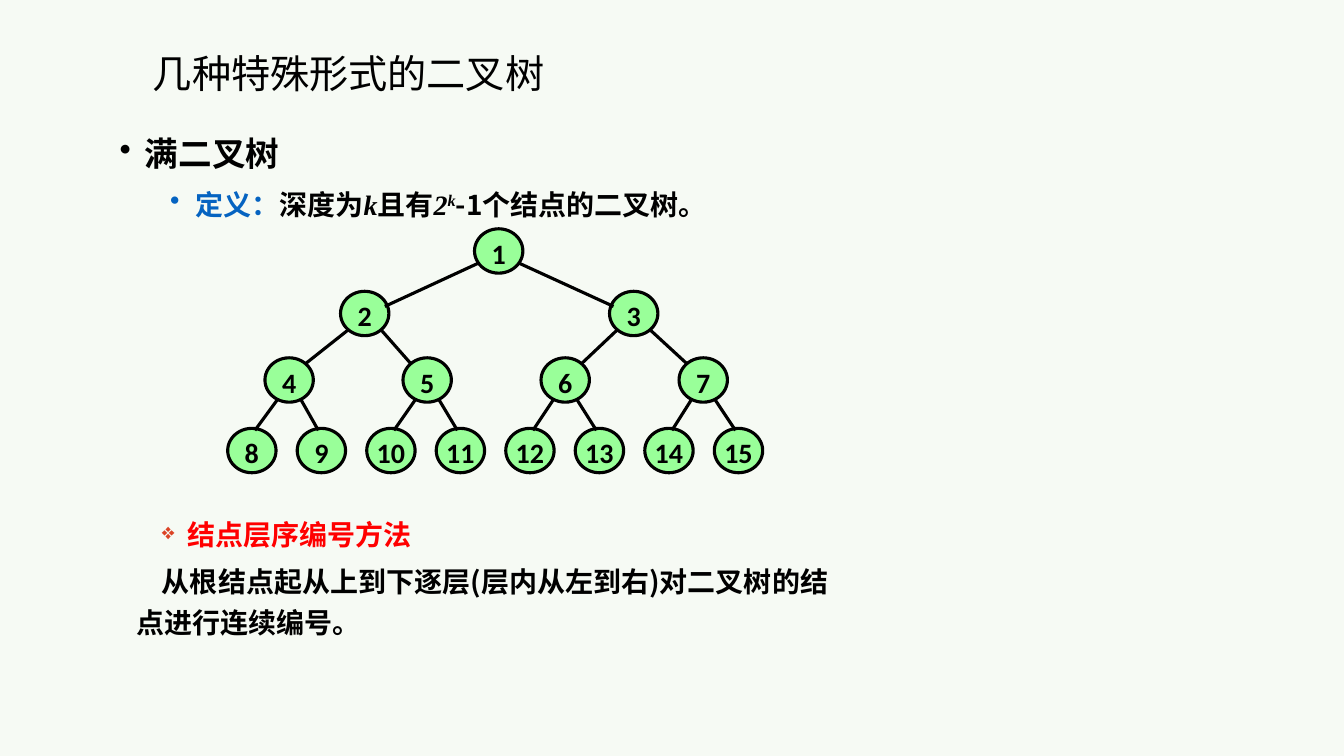
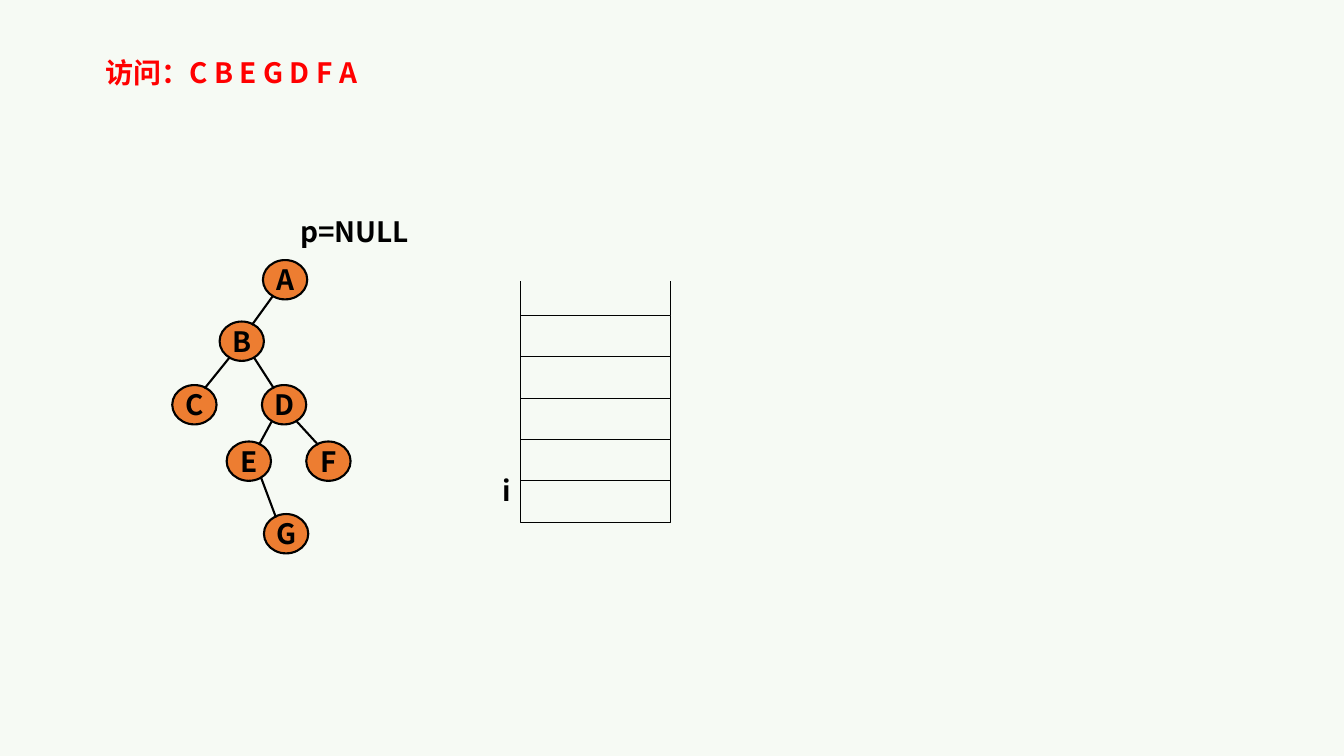
from dataclasses import dataclass

from lxml import etree
from pptx import Presentation
from pptx import util as u
from pptx.dml.color import RGBColor
from pptx.enum import shapes, text
from pptx.oxml import ns


@dataclass(frozen=True)
class Theme:
    page: str = "F6FAF4"
    ink: str = "000000"
    accent: str = "0563C1"
    alert: str = "FF0000"
    bullet: str = "DB4325"
    green_node: str = "99FF99"
    orange_node: str = "ED7D31"
    main_font: str = "Noto Sans CJK SC"
    latin_font: str = "Calibri"
    math_font: str = "Times New Roman"
    title_size: int = 28
    heading_size: int = 24
    body_size: int = 20


THEME = Theme()
MIDDLE = text.MSO_ANCHOR.MIDDLE
CENTER = text.PP_ALIGN.CENTER


class SlideBuilder:
    def __init__(self):
        self.deck = Presentation()
        self.deck.slide_width = u.Inches(13.34)
        self.deck.slide_height = u.Inches(7.5)
        fill = self.deck.slide_master.background.fill
        fill.solid()
        fill.fore_color.rgb = RGBColor.from_string(THEME.page)
        self.page = None

    def new_page(self):
        self.page = self.deck.slides.add_slide(self.deck.slide_layouts[6])

    def text_box(self, left, top, width, height, wrap=True, anchor=text.MSO_ANCHOR.TOP):
        box = self.page.shapes.add_textbox(*map(u.Inches, (left, top, width, height)))
        frame = box.text_frame
        frame.word_wrap = wrap
        frame.vertical_anchor = anchor
        return frame

    def label(self, left, top, width, height, words, color=THEME.ink, align=None):
        frame = self.text_box(left, top, width, height, wrap=False)
        para = frame.paragraphs[0]
        para.alignment = align
        self.span(para, words, color=color)

    def paragraph(self, frame, margin=0, indent=0, bullet=None, bullet_color=THEME.ink,
                  bullet_percent=100, **formats):
        """Fill the first paragraph of the frame if it is unused, else add one."""
        first = frame.paragraphs[0]
        para = frame.add_paragraph() if first.runs else first
        props = para._p.get_or_add_pPr()
        props.set("marL", str(u.Inches(margin)))
        props.set("indent", str(u.Inches(indent)))
        if bullet:
            color = etree.SubElement(props, ns.qn("a:buClr"))
            etree.SubElement(color, ns.qn("a:srgbClr"), val=bullet_color)
            etree.SubElement(props, ns.qn("a:buSzPct"), val=str(bullet_percent * 1000))
            etree.SubElement(props, ns.qn("a:buChar"), char=bullet)
        for name, value in formats.items():
            setattr(para, name, value)
        return para

    def span(self, para, words, color=THEME.ink, font=THEME.main_font,
             size=THEME.body_size, bold=True, italic=False, raised=False):
        span = para.add_run()
        span.text = words
        formats = {"name": font, "size": u.Pt(size), "bold": bold, "italic": italic}
        for name, value in formats.items():
            setattr(span.font, name, value)
        span.font.color.rgb = RGBColor.from_string(color)
        props = span._r.get_or_add_rPr()
        etree.SubElement(props, ns.qn("a:ea"), typeface=THEME.main_font)
        if raised:
            props.set("baseline", "30000")

    def outline(self, kind, left, top, width, height, weight, fill=None):
        shape = self.page.shapes.add_shape(kind, *map(u.Inches, (left, top, width, height)))
        shape.shadow.inherit = False
        if fill:
            shape.fill.solid()
            shape.fill.fore_color.rgb = RGBColor.from_string(fill)
        else:
            shape.fill.background()
        shape.line.color.rgb = RGBColor.from_string(THEME.ink)
        shape.line.width = u.Pt(weight)
        return shape

    def node(self, left, top, width, height, words, fill, weight, font, drop=0):
        """Draw a tree node; drop lowers its text."""
        shape = self.outline(shapes.MSO_SHAPE.OVAL, left, top, width, height, weight, fill)
        frame = shape.text_frame
        formats = {"margin_left": 0, "margin_right": 0, "margin_top": u.Inches(drop),
                   "margin_bottom": 0, "word_wrap": False, "vertical_anchor": MIDDLE}
        for name, value in formats.items():
            setattr(frame, name, value)
        para = frame.paragraphs[0]
        para.alignment = CENTER
        self.span(para, words, font=font)
        return shape

    def line(self, start, end, weight):
        line = self.page.shapes.add_connector(shapes.MSO_CONNECTOR.STRAIGHT, *start, *end)
        line.line.color.rgb = RGBColor.from_string(THEME.ink)
        line.line.width = u.Pt(weight)
        etree.SubElement(line._element.spPr, ns.qn("a:effectLst"))

    def edge(self, parent, child, leave, arrive, weight):
        """Join two nodes; leave and arrive are distances from their centres."""
        side = 1 if child.left > parent.left else -1

        def point(node, across, down):
            return (node.left + node.width // 2 + u.Inches(across),
                    node.top + node.height // 2 + u.Inches(down))

        self.line(point(parent, side * leave[0], leave[1]),
                  point(child, -side * arrive[0], -arrive[1]), weight)


def full_tree_slide(builder):
    builder.new_page()
    title = builder.text_box(1.42, 0.44, 8.52, 0.57, anchor=text.MSO_ANCHOR.BOTTOM)
    para = builder.paragraph(title, line_spacing=0.9)
    builder.span(para, "几种特殊形式的二叉树", font=THEME.latin_font,
                 size=THEME.title_size, bold=False)

    definition = builder.text_box(1.09, 1.19, 9, 1.08)
    para = builder.paragraph(definition, 0.25, -0.25, "•", line_spacing=1.2)
    builder.span(para, "满二叉树", size=THEME.heading_size)
    para = builder.paragraph(definition, 0.75, -0.25, "•", THEME.accent,
                             level=1, line_spacing=1.2, space_before=u.Pt(5))
    math = {"font": THEME.math_font, "italic": True}
    for words, formats in (
        ("定义：", {"color": THEME.accent}),
        ("深度为", {}),
        ("k", math),
        ("且有", {}),
        ("2", math),
        ("k", {**math, "raised": True}),
        ("-1个结点的二叉树。", {}),
    ):
        builder.span(para, words, **formats)

    # first left, step, top of each level
    levels = ((4.71, 0, 2.27), (3.38, 2.67, 2.89), (2.63, 1.37, 3.55), (2.26, 0.69, 4.25))
    # leave and arrive offsets of the edges below each level
    offsets = (((0.2, 0.12), (0.2, 0.07)),
               ((0.16, 0.16), (0.16, 0.16)),
               ((0.12, 0.2), (0.03, 0.2)))
    nodes = {}
    for depth, (left, step, top) in enumerate(levels):
        for place in range(2 ** depth):
            number = 2 ** depth + place
            nodes[number] = builder.node(left + place * step, top, 0.48, 0.44, str(number),
                                         THEME.green_node, 2.25, THEME.latin_font, drop=0.04)
    for number in range(2, len(nodes) + 1):
        parent = number // 2
        leave, arrive = offsets[parent.bit_length() - 1]
        builder.edge(nodes[parent], nodes[number], leave, arrive, 2.25)

    numbering = builder.text_box(1.26, 5.02, 7.33, 1.37)
    para = builder.paragraph(numbering, 0.5, -0.25, "❖", THEME.bullet, 80,
                             level=1, line_spacing=1.2)
    builder.span(para, "结点层序编号方法", color=THEME.alert)
    para = builder.paragraph(numbering, indent=0.25, line_spacing=1.2, space_before=u.Pt(5))
    builder.span(para, "从根结点起从上到下逐层(层内从左到右)对二叉树的结点进行连续编号。")


def traversal_slide(builder):
    builder.new_page()
    places = {"A": (2.61, 2.58), "B": (2.18, 3.19), "C": (1.71, 3.82), "D": (2.6, 3.82),
              "E": (2.25, 4.38), "F": (3.04, 4.38), "G": (2.62, 5.1)}
    nodes = {name: builder.node(*place, 0.44, 0.39, name, THEME.orange_node, 1.5,
                                THEME.main_font)
             for name, place in places.items()}
    for parent, child in ("AB", "BC", "BD", "DE", "DF", "EG"):
        builder.edge(nodes[parent], nodes[child], (0.12, 0.16), (0.1, 0.16), 1.5)

    left, top, width, height = 5.17, 3.13, 1.49, 0.41
    for row in range(5):
        builder.outline(shapes.MSO_SHAPE.RECTANGLE, left, top + row * height, width, height, 0.75)
    for wall in (left, left + width):
        builder.line((u.Inches(wall), u.Inches(2.79)), (u.Inches(wall), u.Inches(top)), 0.75)

    builder.label(4.89, 4.65, 0.28, 0.44, "i", align=CENTER)
    builder.label(2.88, 2.08, 1.28, 0.44, "p=NULL")
    builder.label(0.95, 0.5, 2.81, 0.44, "访问：C B E G D F A", color=THEME.alert)


def main():
    builder = SlideBuilder()
    full_tree_slide(builder)
    traversal_slide(builder)
    builder.deck.save("out.pptx")


if __name__ == "__main__":
    main()
